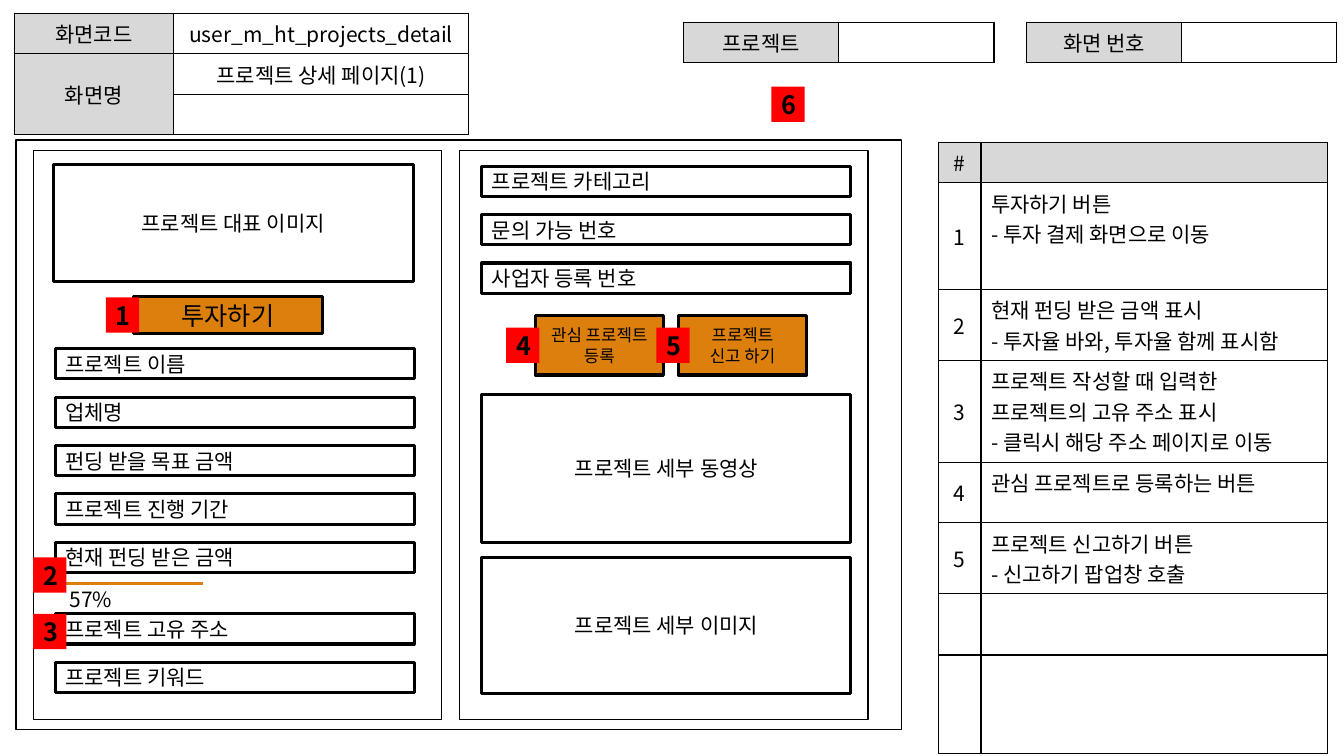
import pptx
import pptx.util
import pptx.dml.color
import pptx.enum.shapes
import pptx.enum.text
from dataclasses import dataclass
from lxml import etree
from pptx.oxml.ns import qn

Inches = pptx.util.Inches
Pt = pptx.util.Pt
ALIGN = pptx.enum.text.PP_ALIGN
ANCHOR = pptx.enum.text.MSO_ANCHOR


@dataclass(frozen=True)
class Theme:
    font: str = "Noto Sans CJK KR"
    ink: str = "000000"
    paper: str = "FFFFFF"
    label: str = "D8D8D8"
    accent: str = "DC7F0D"
    marker: str = "FF0000"
    body: float = 15
    small: float = 12
    large: float = 18
    thin: float = 1
    thick: float = 2.25


T = Theme()


def rgb(color):
    return pptx.dml.color.RGBColor.from_string(color)


def style_text(tf, text, size=T.body, align=ALIGN.CENTER, bold=False):
    tf.text = text
    for p in tf.paragraphs:
        p.alignment = align
        if not p.runs:
            etree.SubElement(p._p, qn("a:endParaRPr"), sz=str(int(size * 100)))
        for r in p.runs:
            r.font.size = Pt(size)
            r.font.bold = bold
            r.font.color.rgb = rgb(T.ink)
            r.font.name = T.font
            etree.SubElement(r._r.get_or_add_rPr(), qn("a:ea"), typeface=T.font)


def add_box(s, x, y, w, h, text="", fill=None, line=T.thick, **style):
    sp = s.shapes.add_shape(pptx.enum.shapes.MSO_SHAPE.RECTANGLE,
                            Inches(x), Inches(y), Inches(w), Inches(h))
    sp.shadow.inherit = False
    if fill:
        sp.fill.solid()
        sp.fill.fore_color.rgb = rgb(fill)
    else:
        sp.fill.background()
    if line:
        sp.line.color.rgb = rgb(T.ink)
        sp.line.width = Pt(line)
    else:
        sp.line.fill.background()
    if text:
        tf = sp.text_frame
        tf.word_wrap = True
        tf.vertical_anchor = ANCHOR.MIDDLE
        style_text(tf, text, **style)


def add_badge(s, x, y, number):
    add_box(s, x, y, 0.33, 0.35, number, T.marker, None, size=T.large, bold=True)


def add_fields(s, x, y, w, names):
    for i, name in enumerate(names):
        add_box(s, x, y + 0.48 * i, w, 0.3, name, align=ALIGN.LEFT)


def add_progress(s, x, y, w, text):
    bar = s.shapes.add_connector(pptx.enum.shapes.MSO_CONNECTOR.STRAIGHT,
                                 Inches(x), Inches(y), Inches(x + w), Inches(y))
    bar.line.color.rgb = rgb(T.accent)
    bar.line.width = Pt(T.thick)
    etree.SubElement(bar._element.spPr, qn("a:effectLst"))
    add_box(s, x + 0.03, y + 0.05, 0.64, 0.2, text, T.paper, None)


def style_cell(cell, text, fill, align, anchor):
    tcPr = cell._tc.get_or_add_tcPr()
    for side in ("lnL", "lnR", "lnT", "lnB"):
        ln = etree.SubElement(tcPr, qn("a:" + side), w=str(int(Pt(T.thin))))
        solid = etree.SubElement(ln, qn("a:solidFill"))
        etree.SubElement(solid, qn("a:srgbClr"), val=T.ink)
    cell.fill.solid()
    cell.fill.fore_color.rgb = rgb(fill)
    cell.vertical_anchor = anchor
    style_text(cell.text_frame, text, align=align)


def add_grid(s, x, y, widths, heights, rows, shaded, merge=None, notes=False):
    table = s.shapes.add_table(len(heights), len(widths), Inches(x), Inches(y),
                               Inches(sum(widths)), Inches(sum(heights))).table
    table.first_row = table.horz_banding = False
    for column, w in zip(table.columns, widths):
        column.width = Inches(w)
    for row, h in zip(table.rows, heights):
        row.height = Inches(h)
    if merge:
        first, last = merge
        table.cell(*first).merge(table.cell(*last))
    for i, row in enumerate(rows):
        for j, text in enumerate(row):
            is_note = notes and j == 1
            style_cell(table.cell(i, j), text,
                       T.label if shaded(i, j) else T.paper,
                       ALIGN.LEFT if is_note else ALIGN.CENTER,
                       ANCHOR.TOP if is_note else ANCHOR.MIDDLE)


def first_column(i, j):
    return j == 0


def first_row(i, j):
    return i == 0


def add_screen_info(s, x, y):
    add_grid(s, x, y, [1.58, 2.93], [0.4] * 3,
             [("화면코드", "user_m_ht_projects_detail"),
              ("화면명", "프로젝트 상세 페이지(1)"),
              ("", "")], first_column, merge=((1, 0), (2, 0)))


def add_label_pair(s, x, y, label):
    add_grid(s, x, y, [1.54, 1.54], [0.4], [(label, "")], first_column)


def add_notes(s, x, y):
    add_grid(s, x, y, [0.42, 3.44], [0.4, 1.06, 0.7, 1.01, 0.6, 0.7, 0.61, 0.98],
             [("#", ""),
              ("1", "투자하기 버튼\n- 투자 결제 화면으로 이동"),
              ("2", "현재 펀딩 받은 금액 표시\n- 투자율 바와, 투자율 함께 표시함"),
              ("3", "프로젝트 작성할 때 입력한 프로젝트의 고유 주소 표시\n- 클릭시 해당 주소 페이지로 이동"),
              ("4", "관심 프로젝트로 등록하는 버튼"),
              ("5", "프로젝트 신고하기 버튼\n- 신고하기 팝업창 호출"),
              ("", ""),
              ("", "")], first_row, notes=True)


def add_summary_panel(s, x, y, w, h):
    add_box(s, x, y, w, h, line=T.thin)
    add_box(s, x + 0.2, y + 0.14, 3.57, 1.16, "프로젝트 대표 이미지")
    add_box(s, x + 0.99, y + 1.45, 1.88, 0.37, "투자하기", T.accent, size=T.large)
    add_progress(s, x + 0.22, y + 4.3, 1.46, "57%")
    add_fields(s, x + 0.22, y + 1.97, 3.56,
               ["프로젝트 이름", "업체명", "펀딩 받을 목표 금액",
                "프로젝트 진행 기간", "현재 펀딩 받은 금액"])
    add_fields(s, x + 0.22, y + 4.6, 3.56, ["프로젝트 고유 주소", "프로젝트 키워드"])
    for dx, dy, number in [(0.72, 1.46, "1"), (0, 4.04, "2"), (0, 4.6, "3")]:
        add_badge(s, x + dx, y + dy, number)


def add_detail_panel(s, x, y, w, h):
    add_box(s, x, y, w, h, line=T.thin)
    add_fields(s, x + 0.22, y + 0.16, 3.66,
               ["프로젝트 카테고리", "문의 가능 번호", "사업자 등록 번호"])
    for i, text in enumerate(["관심 프로젝트\n등록", "프로젝트\n신고 하기"]):
        add_box(s, x + 0.75 + 1.42 * i, y + 1.64, 1.27, 0.59, text, T.accent, size=T.small)
    add_box(s, x + 0.22, y + 2.42, 3.66, 1.47, "프로젝트 세부 동영상")
    add_box(s, x + 0.22, y + 4.04, 3.66, 1.35, "프로젝트 세부 이미지")
    for i, number in enumerate("45"):
        add_badge(s, x + 0.46 + 1.49 * i, y + 1.76, number)


def add_wireframe(s, x, y, w, h):
    add_box(s, x, y, w, h, line=T.thin)
    add_summary_panel(s, x + 0.17, y + 0.1, 4.05, 5.65)
    add_detail_panel(s, x + 4.4, y + 0.1, 4.05, 5.65)


def main():
    prs = pptx.Presentation()
    prs.slide_width = Inches(13.33)
    prs.slide_height = Inches(7.5)
    s = prs.slides.add_slide(prs.slide_layouts[6])
    add_screen_info(s, 0.14, 0.13)
    add_label_pair(s, 10.18, 0.22, "화면 번호")
    add_label_pair(s, 6.78, 0.22, "프로젝트")
    add_notes(s, 9.31, 1.41)
    add_wireframe(s, 0.16, 1.39, 8.78, 5.85)
    add_badge(s, 7.65, 0.86, "6")
    prs.save("out.pptx")


if __name__ == "__main__":
    main()
